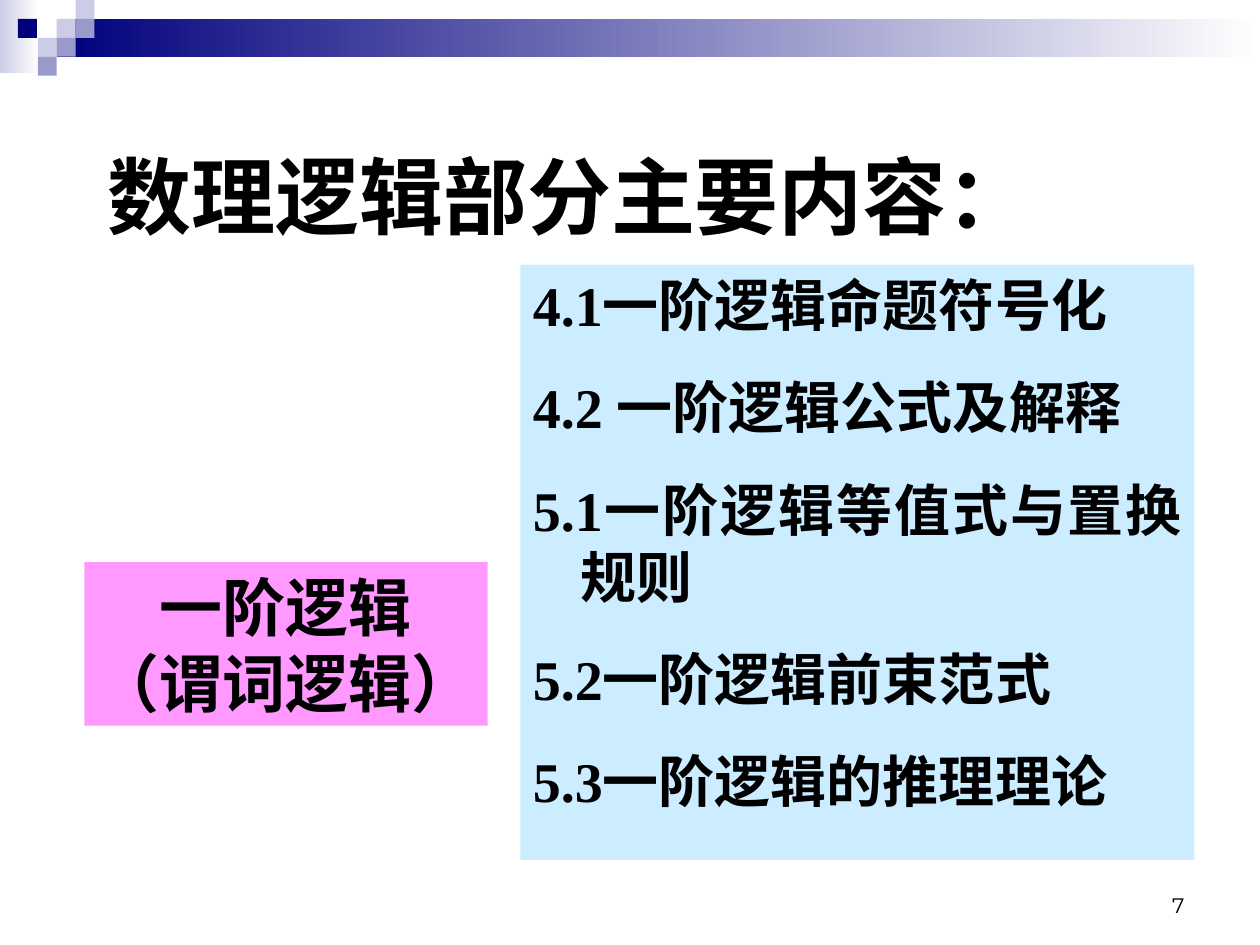
from dataclasses import dataclass

from pptx import Presentation, util as u
from pptx.dml.color import RGBColor
from pptx.enum import shapes, text

SLIDE_W, SLIDE_H = 10, 7.5
CELL = 0.15  # side of one mosaic square, in inches
COLORS = {
    "navy": "00007D",
    "lilac": "CCCCE6",
    "violet": "9999CC",
    "pink": "FF99FF",
    "sky": "CCECFF",
    "black": "000000",
    "white": "FFFFFF",
}


@dataclass
class Box:
    """Place as shares of the slide's width and height."""
    left: float
    top: float
    width: float
    height: float

    def emu(self) -> tuple:
        return tuple(u.Inches(share * side) for share, side in zip(
            (self.left, self.top, self.width, self.height),
            (SLIDE_W, SLIDE_H) * 2))


@dataclass
class Square:
    column: float
    row: int
    color: str


@dataclass
class Style:
    font: str
    size: int
    bold: bool
    align: text.PP_ALIGN
    anchor: text.MSO_ANCHOR
    wrap: bool = True
    gap: int = 0
    hanging: float = 0


FADES = [(Box(0, 0, 0.031, 0.077), "lilac"), (Box(0.045, 0.02, 0.955, 0.04), "navy")]
MOSAIC = [
    Square(3, 1, "lilac"), Square(4, 0, "lilac"), Square(4, 1, "violet"),
    Square(2, 2, "lilac"), Square(0.95, 1, "navy"), Square(3, 2, "violet"),
    Square(2, 3, "violet"),
]
TITLE = Style("Arial", 48, True, text.PP_ALIGN.LEFT, text.MSO_ANCHOR.MIDDLE)
TOPIC = Style("Times New Roman", 36, True, text.PP_ALIGN.CENTER,
              text.MSO_ANCHOR.TOP, wrap=False)
SECTIONS = Style("Times New Roman", 32, True, text.PP_ALIGN.JUSTIFY,
                 text.MSO_ANCHOR.TOP, gap=20, hanging=0.38)
PAGE = Style("Montserrat", 12, False, text.PP_ALIGN.RIGHT, text.MSO_ANCHOR.BOTTOM)


def rgb(name: str) -> RGBColor:
    return RGBColor.from_string(COLORS[name])


def add_panel(slide, place: tuple, color: str, fades: bool = False):
    """Add a borderless rectangle, solid or fading to white on the right."""
    panel = slide.shapes.add_shape(shapes.MSO_SHAPE.RECTANGLE, *place)
    panel.shadow.inherit = False
    panel.line.fill.background()
    if fades:
        panel.fill.gradient()
        panel.fill.gradient_angle = 180
        for stop, name in zip(panel.fill.gradient_stops, ("white", color)):
            stop.color.rgb = rgb(name)
    else:
        panel.fill.solid()
        panel.fill.fore_color.rgb = rgb(color)
    return panel


def write(shape, lines: list[str], style: Style) -> None:
    frame = shape.text_frame
    frame.text = "\n".join(lines)
    frame_format = {
        "auto_size": text.MSO_AUTO_SIZE.NONE,
        "word_wrap": style.wrap,
        "vertical_anchor": style.anchor,
        "margin_left": u.Inches(0.1), "margin_right": u.Inches(0.1),
        "margin_top": u.Inches(0.05), "margin_bottom": u.Inches(0.05),
    }
    for name, value in frame_format.items():
        setattr(frame, name, value)
    font_format = {"name": style.font, "size": u.Pt(style.size), "bold": style.bold}
    for index, paragraph in enumerate(frame.paragraphs):
        paragraph.alignment = style.align
        paragraph.space_before = u.Pt(style.gap if index else 0)
        if style.hanging:
            indent = u.Inches(style.hanging)
            properties = paragraph._p.get_or_add_pPr()
            properties.set("marL", str(indent))
            properties.set("indent", str(-indent))
        for run in paragraph.runs:
            for name, value in font_format.items():
                setattr(run.font, name, value)
            run.font.color.rgb = rgb("black")


def main() -> None:
    deck = Presentation()
    deck.slide_width, deck.slide_height = u.Inches(SLIDE_W), u.Inches(SLIDE_H)
    slide = deck.slides.add_slide(deck.slide_layouts[5])

    for box, color in FADES:
        add_panel(slide, box.emu(), color, fades=True)
    for square in MOSAIC:
        place = [u.Inches(cells * CELL) for cells in (square.column, square.row, 1, 1)]
        add_panel(slide, place, square.color)

    title = slide.shapes.title
    title.left, title.top, title.width, title.height = Box(0.075, 0.08, 0.9, 0.253).emu()
    write(title, ["数理逻辑部分主要内容："], TITLE)

    topic = add_panel(slide, Box(0.067, 0.595, 0.32, 0.173).emu(), "pink")
    write(topic, ["一阶逻辑", "（谓词逻辑）"], TOPIC)

    sections = add_panel(slide, Box(0.413, 0.28, 0.535, 0.63).emu(), "sky")
    write(sections, [
        "4.1一阶逻辑命题符号化",
        "4.2 一阶逻辑公式及解释",
        "5.1一阶逻辑等值式与置换规则",
        "5.2一阶逻辑前束范式",
        "5.3一阶逻辑的推理理论",
    ], SECTIONS)

    page = slide.shapes.add_textbox(*Box(0.717, 0.911, 0.233, 0.067).emu())
    write(page, ["7"], PAGE)
    deck.save("out.pptx")


if __name__ == "__main__":
    main()
